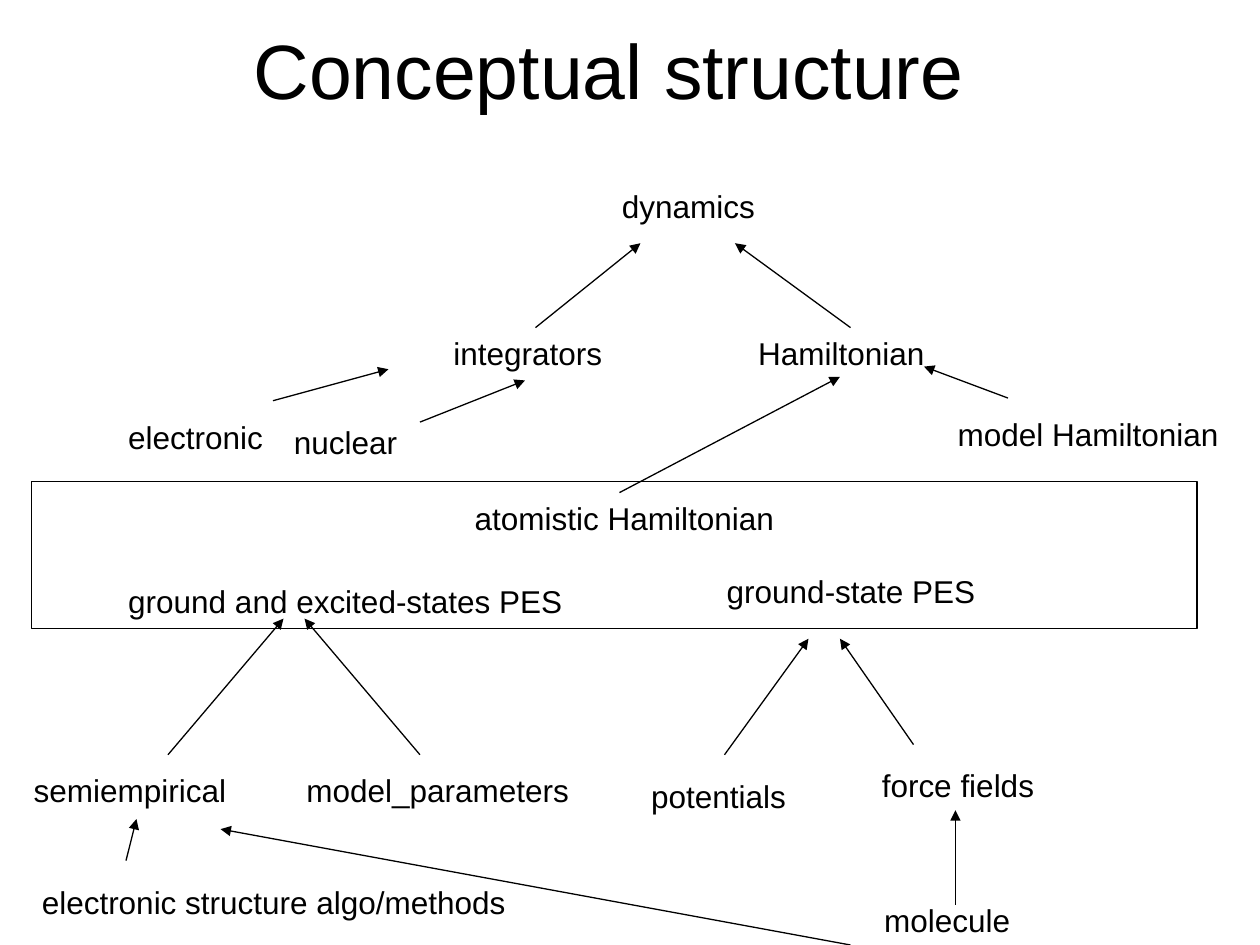
from pptx import Presentation
from pptx.dml.color import RGBColor
from pptx.enum.shapes import MSO_CONNECTOR, MSO_SHAPE
from pptx.enum.text import MSO_ANCHOR, MSO_AUTO_SIZE, PP_ALIGN
from pptx.oxml.ns import qn
from pptx.util import Pt
from lxml.etree import SubElement

COLORS = {"ink": "000000", "paper": "FFFFFF"}
FONT = "Arial"
LINE_WIDTH = 0.74
LABEL_HEIGHT = 28.8

LABELS = [
    ("dynamics", 348.3, 103.3, 93),
    ("integrators", 252, 187.2, 102),
    ("Hamiltonian", 426.2, 187.2, 112),
    ("electronic", 66.2, 235.4, 94),
    ("nuclear", 160.8, 238.3, 76),
    ("model Hamiltonian", 540.2, 233.6, 166),
    ("atomistic Hamiltonian", 264.2, 281.5, 188),
    ("ground and excited-states PES", 66.2, 329.3, 265),
    ("ground-state PES", 408.2, 323.3, 159),
    ("semiempirical", 12.2, 437.3, 127),
    ("model_parameters", 168, 437.3, 167),
    ("potentials", 365, 440.3, 94),
    ("force fields", 496.8, 434.2, 104),
    ("electronic structure algo/methods", 16.8, 501.1, 282),
    ("molecule", 498.2, 511.2, 89),
]

ARROWS = [
    ((306, 187.2), (366, 139)),
    ((486, 187.2), (420, 139)),
    ((156, 229), (222, 211)),
    ((240, 241.2), (300, 217.4)),
    ((576, 227.5), (528, 209.5)),
    ((354, 281.5), (480, 215.3)),
    ((96, 431.3), (162, 353.5)),
    ((240, 431.3), (174, 353.5)),
    ((414, 431.3), (462, 365)),
    ((522, 425.5), (480, 365)),
    ((72, 491.8), (78, 468)),
    ((486, 540), (126, 473.8)),
    ((546, 517), (546, 463)),
]


def color(name):
    return RGBColor.from_string(COLORS[name])


def style_line(line):
    line.color.rgb = color("ink")
    line.width = Pt(LINE_WIDTH)


def add_text(slide, text, left, top, width, height=LABEL_HEIGHT, size=18):
    shape = slide.shapes.add_textbox(Pt(left), Pt(top), Pt(width), Pt(height))
    frame = shape.text_frame
    frame.word_wrap = False
    frame.auto_size = MSO_AUTO_SIZE.NONE
    paragraph = frame.paragraphs[0]
    paragraph.alignment = PP_ALIGN.LEFT
    run = paragraph.add_run()
    run.text = text
    run.font.name = FONT
    run.font.size = Pt(size)
    run.font.color.rgb = color("ink")
    return frame


def add_title(slide, text):
    frame = add_text(slide, text, 42, 0, 612, 78, 44)
    frame.word_wrap = True
    frame.vertical_anchor = MSO_ANCHOR.MIDDLE
    frame.paragraphs[0].alignment = PP_ALIGN.CENTER


def add_frame(slide, left, top, width, height):
    shape = slide.shapes.add_shape(
        MSO_SHAPE.RECTANGLE, Pt(left), Pt(top), Pt(width), Pt(height))
    shape.shadow.inherit = False
    shape.fill.background()
    style_line(shape.line)


def add_arrow(slide, start, end):
    connector = slide.shapes.add_connector(
        MSO_CONNECTOR.STRAIGHT, *(Pt(value) for value in start + end))
    style_line(connector.line)
    properties = connector._element.spPr
    SubElement(properties.find(qn("a:ln")), qn("a:tailEnd"), type="triangle")
    SubElement(properties, qn("a:effectLst"))


def main():
    presentation = Presentation()
    presentation.slide_width = Pt(720)
    presentation.slide_height = Pt(540)
    slide = presentation.slides.add_slide(presentation.slide_layouts[6])
    slide.background.fill.solid()
    slide.background.fill.fore_color.rgb = color("paper")
    add_title(slide, "Conceptual structure")
    add_frame(slide, 18, 275.2, 666, 84.2)
    for label in LABELS:
        add_text(slide, *label)
    for start, end in ARROWS:
        add_arrow(slide, start, end)
    presentation.save("out.pptx")


main()
